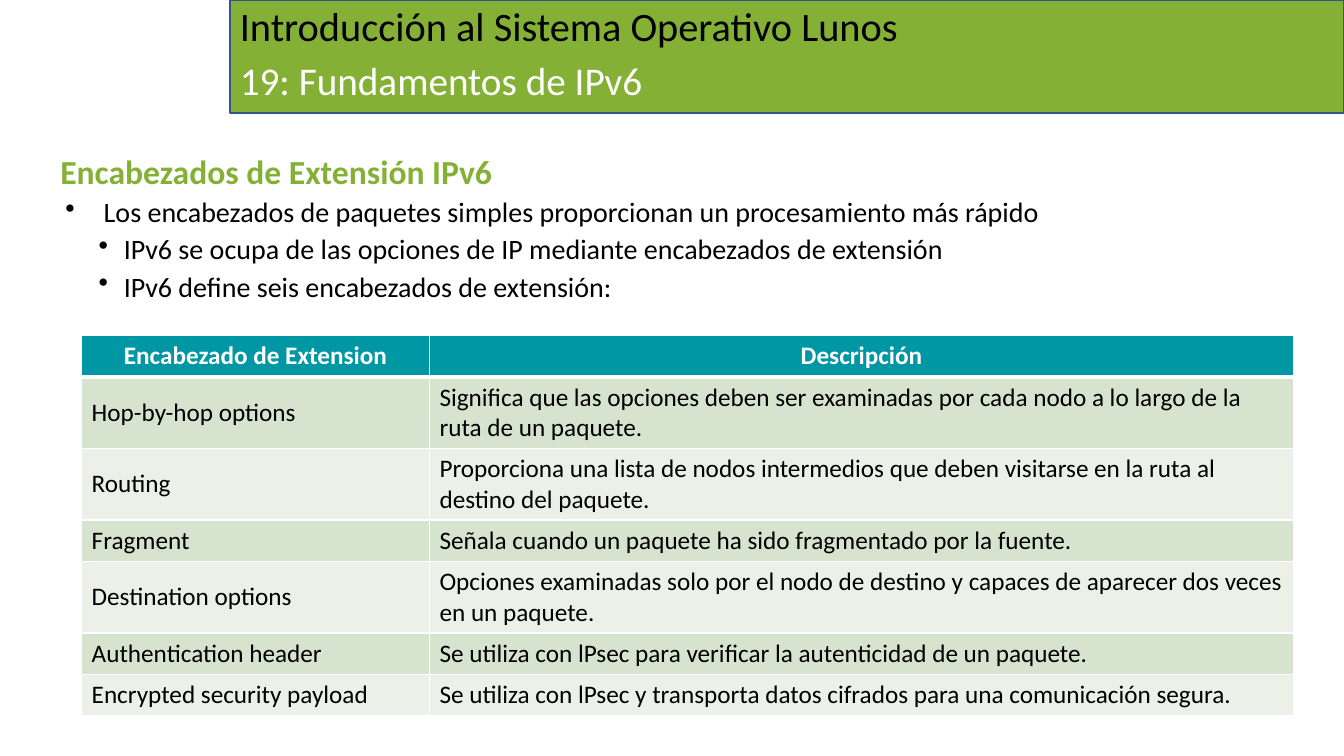
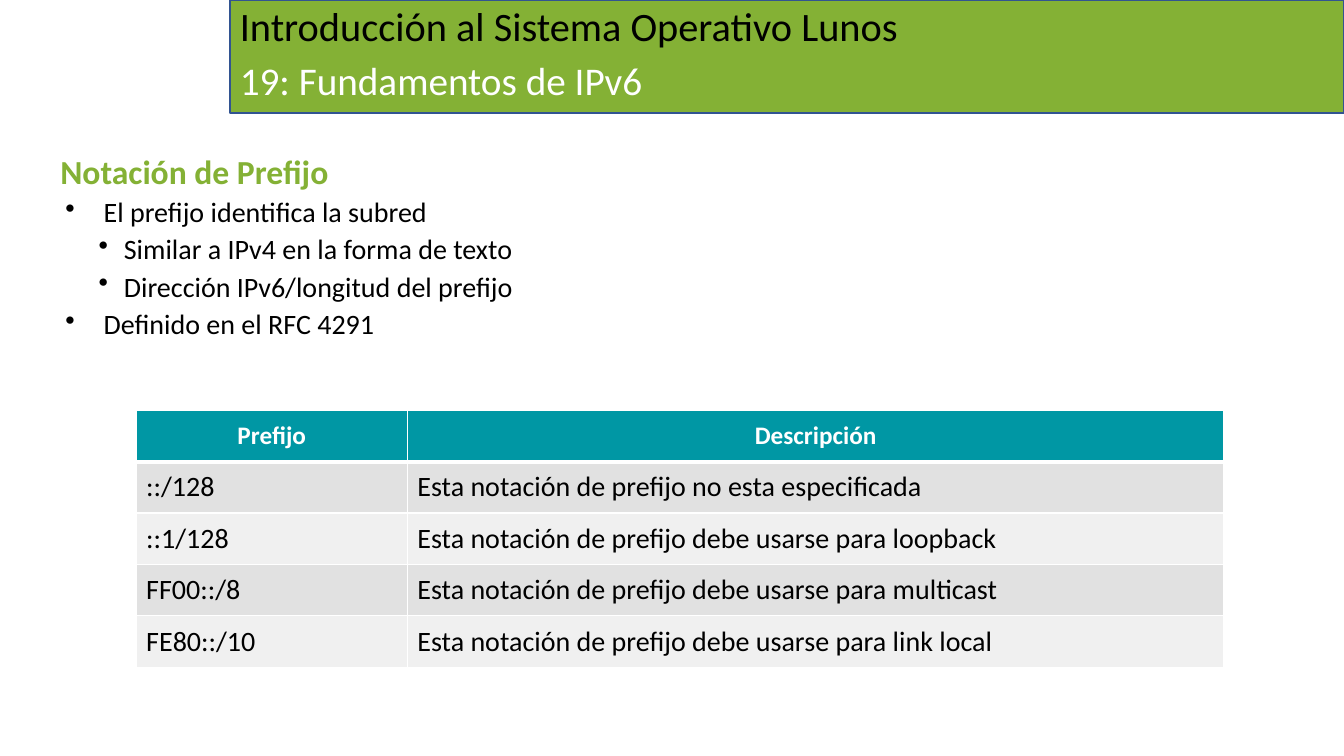
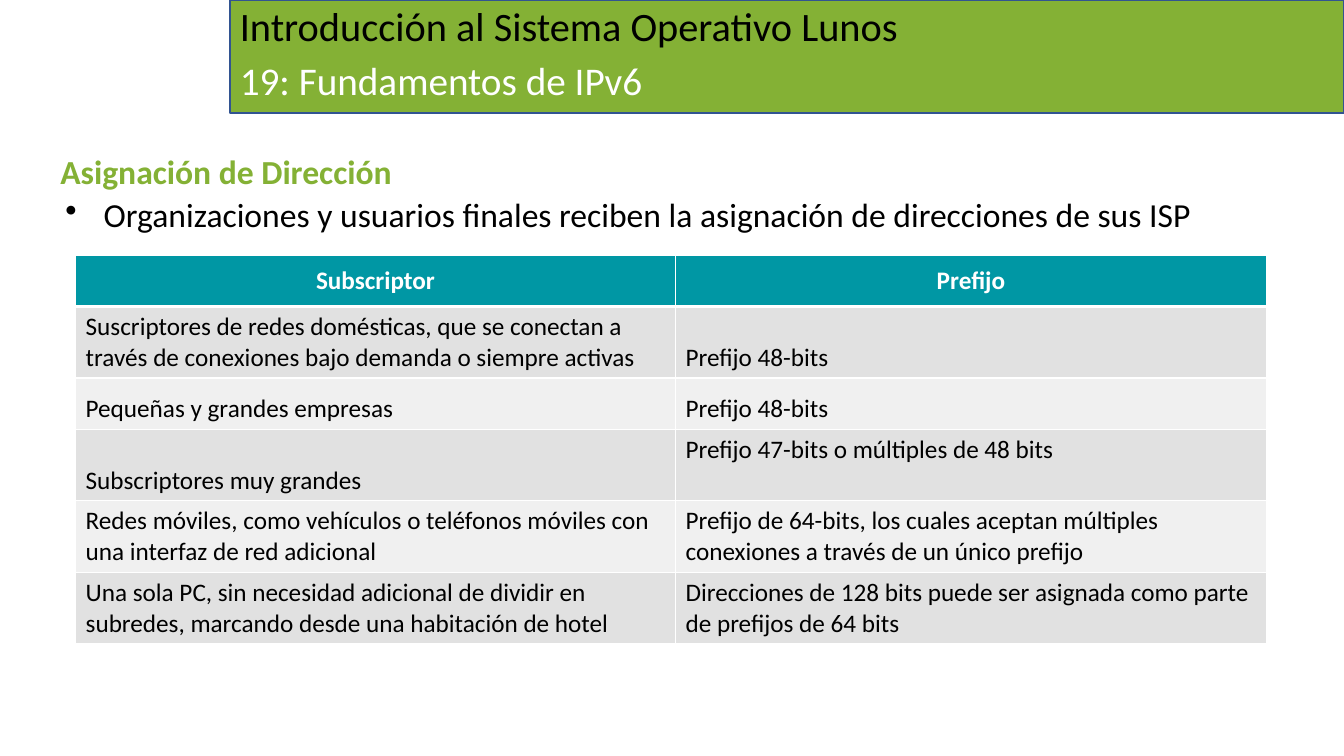
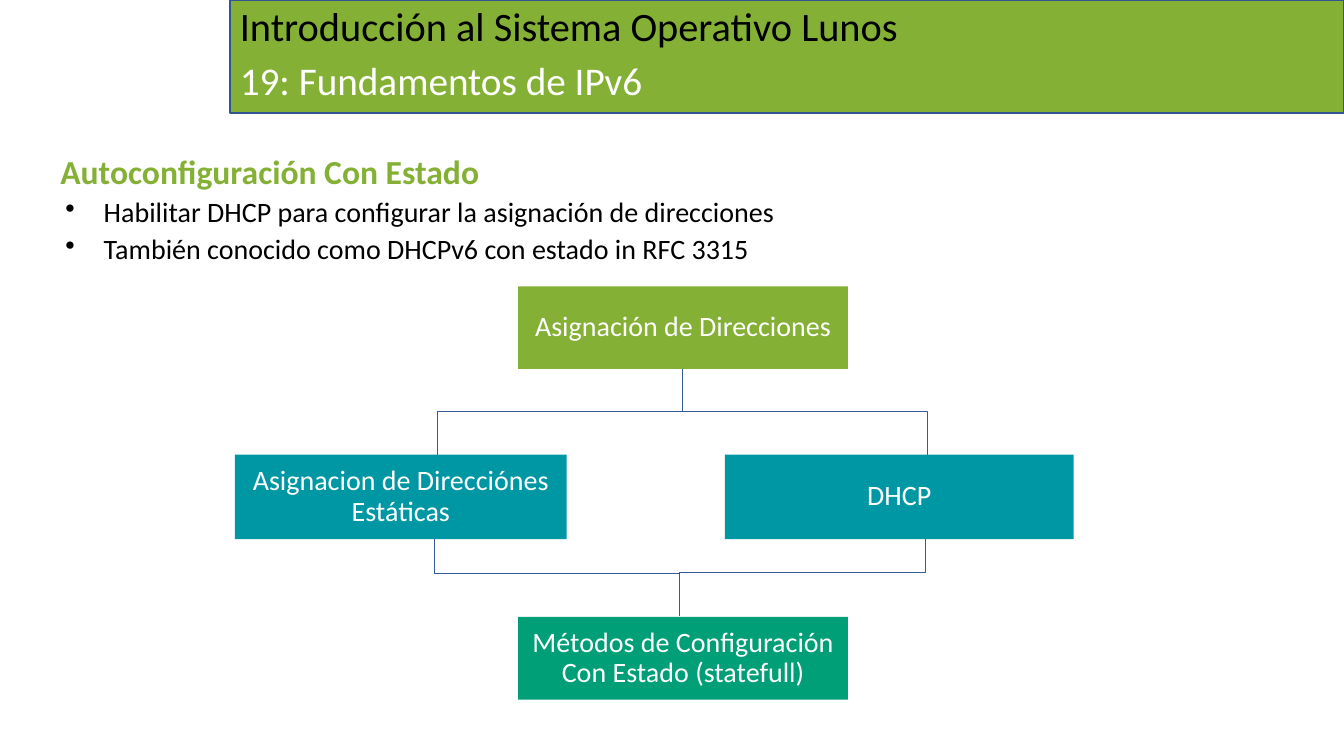
"""Build four slides on IPv6 fundamentals with a shared band, headings, tables and a chart of boxes."""
from dataclasses import dataclass

from lxml.etree import SubElement
from pptx import Presentation
from pptx.dml.color import RGBColor
from pptx.enum.shapes import MSO_SHAPE
from pptx.enum.text import MSO_ANCHOR as ANCHOR, PP_ALIGN as ALIGN
from pptx.oxml.ns import qn
from pptx.util import Inches, Pt


@dataclass(frozen=True)
class Theme:
    font: str = "Calibri"
    green: str = "84B135"
    teal: str = "0097A4"
    emerald: str = "009F77"
    band_line: str = "325491"
    elbow_line: str = "365B9D"
    black: str = "000000"
    white: str = "FFFFFF"
    green_rows: tuple[str, str] = ("D5E3CF", "EBF1E9")
    gray_rows: tuple[str, str] = ("E1E1E1", "F0F0F0")
    title: float = 28.8
    subtitle: float = 28
    heading: float = 24
    body: float = 20
    cell: float = 18
    spacing: float = 0.9


@dataclass(frozen=True)
class Bullet:
    text: str
    level: int = 1
    size: float = 20


@dataclass(frozen=True)
class Grid:
    left: float
    top: float
    cols: tuple[float, float]
    heights: tuple[float, ...]
    rows: tuple[tuple[str, str], ...]
    bands: tuple[str, str]
    size: float = 18
    anchor: ANCHOR = ANCHOR.MIDDLE
    top_cells: tuple[tuple[int, int], ...] = ()


@dataclass(frozen=True)
class Box:
    text: str
    left: float
    top: float
    width: float
    height: float
    color: str


@dataclass(frozen=True)
class Elbow:
    x1: float
    y1: float
    x2: float
    y2: float


@dataclass(frozen=True)
class Page:
    heading: str
    bullets: tuple[Bullet, ...]
    grid: Grid | None = None
    elbows: tuple[Elbow, ...] = ()
    boxes: tuple[Box, ...] = ()


T = Theme()
INDENTS = {1: (0.43, -0.38), 2: (0.63, -0.25)}
ONE, TWO, TALL = 0.41, 0.71, 0.51

PAGES = (
    Page(
        "Encabezados de Extensión IPv6",
        (
            Bullet("Los encabezados de paquetes simples proporcionan un procesamiento más rápido"),
            Bullet("IPv6 se ocupa de las opciones de IP mediante encabezados de extensión", 2),
            Bullet("IPv6 define seis encabezados de extensión:", 2),
        ),
        Grid(
            0.81, 3.33, (3.45, 8.57), (ONE, TWO, TWO, ONE, TWO, ONE, ONE),
            (
                ("Encabezado de Extension", "Descripción"),
                ("Hop-by-hop options", "Significa que las opciones deben ser examinadas por cada nodo a lo largo de la ruta de un paquete."),
                ("Routing", "Proporciona una lista de nodos intermedios que deben visitarse en la ruta al destino del paquete."),
                ("Fragment", "Señala cuando un paquete ha sido fragmentado por la fuente."),
                ("Destination options", "Opciones examinadas solo por el nodo de destino y capaces de aparecer dos veces en un paquete."),
                ("Authentication header", "Se utiliza con lPsec para verificar la autenticidad de un paquete."),
                ("Encrypted security payload", "Se utiliza con lPsec y transporta datos cifrados para una comunicación segura."),
            ),
            T.green_rows,
        ),
    ),
    Page(
        "Notación de Prefijo",
        (
            Bullet("El prefijo identifica la subred"),
            Bullet("Similar a IPv4 en la forma de texto", 2),
            Bullet("Dirección IPv6/longitud del prefijo", 2),
            Bullet("Definido en el RFC 4291"),
        ),
        Grid(
            1.35, 4.07, (2.69, 8.1), (TALL,) * 5,
            (
                ("Prefijo", "Descripción"),
                ("::/128", "Esta notación de prefijo no esta especificada"),
                ("::1/128", "Esta notación de prefijo debe usarse para loopback"),
                ("FF00::/8", "Esta notación de prefijo debe usarse para multicast"),
                ("FE80::/10", "Esta notación de prefijo debe usarse para link local"),
            ),
            T.gray_rows, T.body,
        ),
    ),
    Page(
        "Asignación de Dirección",
        (Bullet("Organizaciones y usuarios finales reciben la asignación de direcciones de sus ISP", size=T.heading),),
        Grid(
            0.75, 2.53, (5.95, 5.86), (TALL, TWO, TALL, TWO, TWO, TWO),
            (
                ("Subscriptor", "Prefijo"),
                ("Suscriptores de redes domésticas, que se conectan a través de conexiones bajo demanda o siempre activas", "Prefijo 48-bits"),
                ("Pequeñas y grandes empresas", "Prefijo 48-bits"),
                ("Subscriptores muy grandes", "Prefijo 47-bits o múltiples de 48 bits"),
                ("Redes móviles, como vehículos o teléfonos móviles con una interfaz de red adicional", "Prefijo de 64-bits, los cuales aceptan múltiples conexiones a través de un único prefijo"),
                ("Una sola PC, sin necesidad adicional de dividir en subredes, marcando desde una habitación de hotel", "Direcciones de 128 bits puede ser asignada como parte de prefijos de 64 bits"),
            ),
            T.gray_rows, anchor=ANCHOR.BOTTOM, top_cells=((3, 1),),
        ),
    ),
    Page(
        "Autoconfiguración Con Estado",
        (
            Bullet("Habilitar DHCP para configurar la asignación de direcciones"),
            Bullet("También conocido como DHCPv6 con estado in RFC 3315"),
        ),
        elbows=(
            Elbow(6.77, 3.66, 9.2, 4.51),
            Elbow(6.77, 3.66, 4.34, 4.51),
            Elbow(4.31, 5.27, 6.74, 6.11),
            Elbow(9.18, 5.26, 6.74, 6.1),
        ),
        boxes=(
            Box("Asignación de Direcciones", 5.14, 2.84, 3.27, 0.82, T.green),
            Box("Métodos de Configuración Con Estado (statefull)", 5.14, 6.12, 3.27, 0.82, T.emerald),
            Box("DHCP", 7.19, 4.51, 3.46, 0.84, T.teal),
            Box("Asignacion de Direcciónes Estáticas", 2.33, 4.51, 3.29, 0.84, T.teal),
        ),
    ),
)


def rgb(color: str) -> RGBColor:
    return RGBColor.from_string(color)


def write(tf, text: str, *, size: float, color: str = T.black, bold: bool = False,
          align: ALIGN = ALIGN.LEFT, level: int = 0, spacing: float = T.spacing) -> None:
    p = tf.add_paragraph() if tf.text else tf.paragraphs[0]
    if level:
        left, hang = INDENTS[level]
        pPr = p._p.get_or_add_pPr()
        pPr.set("marL", str(Inches(left)))
        pPr.set("indent", str(Inches(hang)))
        SubElement(pPr, qn("a:buChar")).set("char", "•")
        p.level = level
        p.space_before = Pt(5)
    p.alignment, p.line_spacing = align, spacing
    r = p.add_run()
    r.text = text
    r.font.name, r.font.size, r.font.bold = T.font, Pt(size), bold
    r.font.color.rgb = rgb(color)


def add_text(s, left: float, top: float, width: float, height: float, anchor: ANCHOR = ANCHOR.TOP):
    tf = s.shapes.add_textbox(Inches(left), Inches(top), Inches(width), Inches(height)).text_frame
    tf.word_wrap, tf.vertical_anchor = True, anchor
    return tf


def add_rect(s, left: float, top: float, width: float, height: float, color: str):
    sp = s.shapes.add_shape(MSO_SHAPE.RECTANGLE, Inches(left), Inches(top), Inches(width), Inches(height))
    sp.shadow.inherit = False
    sp.fill.solid()
    sp.fill.fore_color.rgb = rgb(color)
    sp.line.fill.background()
    return sp


def add_band(s) -> None:
    sp = add_rect(s, 2.28, 0, 11.05, 1.12, T.green)
    sp.line.color.rgb, sp.line.width = rgb(T.band_line), Pt(1)
    write(add_text(s, 2.28, 0.02, 11.05, 0.53, ANCHOR.MIDDLE),
          "Introducción al Sistema Operativo Lunos", size=T.title)
    write(add_text(s, 2.28, 0.56, 8.42, 0.56), "19: Fundamentos de IPv6", size=T.subtitle, color=T.white)


def add_body(s, page: Page) -> None:
    tf = add_text(s, 0.5, 1.49, 12.49, 4.76)
    write(tf, page.heading, size=T.heading, color=T.green, bold=True)
    for b in page.bullets:
        write(tf, b.text, size=b.size, level=b.level)


def set_borders(cell, bottom: float) -> None:
    tcPr = cell._tc.get_or_add_tcPr()
    for side, width in (("L", 1), ("R", 1), ("T", 1), ("B", bottom)):
        ln = SubElement(tcPr, qn(f"a:ln{side}"))
        ln.set("w", str(Pt(width)))
        SubElement(SubElement(ln, qn("a:solidFill")), qn("a:srgbClr")).set("val", T.white)


def add_grid(s, g: Grid) -> None:
    table = s.shapes.add_table(len(g.rows), len(g.cols), Inches(g.left), Inches(g.top),
                               Inches(sum(g.cols)), Inches(sum(g.heights))).table
    for col, width in zip(table.columns, g.cols):
        col.width = Inches(width)
    for i, (texts, height) in enumerate(zip(g.rows, g.heights)):
        table.rows[i].height = Inches(height)
        head = i == 0
        for j, text in enumerate(texts):
            cell = table.cell(i, j)
            set_borders(cell, 3 if head else 1)
            cell.fill.solid()
            cell.fill.fore_color.rgb = rgb(T.teal if head else g.bands[(i - 1) % 2])
            cell.vertical_anchor = ANCHOR.MIDDLE if head else ANCHOR.TOP if (i, j) in g.top_cells else g.anchor
            write(cell.text_frame, text, size=T.cell if head else g.size, bold=head, spacing=1.0,
                  color=T.white if head else T.black, align=ALIGN.CENTER if head else ALIGN.LEFT)


def add_elbow(s, e: Elbow) -> None:
    mid = (e.y1 + e.y2) / 2
    fb = s.shapes.build_freeform(Inches(e.x1), Inches(e.y1))
    fb.add_line_segments([(Inches(x), Inches(y)) for x, y in ((e.x1, mid), (e.x2, mid), (e.x2, e.y2))], close=False)
    sp = fb.convert_to_shape()
    sp.shadow.inherit = False
    sp.fill.background()
    sp.line.color.rgb, sp.line.width = rgb(T.elbow_line), Pt(0.5)


def add_box(s, b: Box) -> None:
    tf = add_rect(s, b.left, b.top, b.width, b.height, b.color).text_frame
    tf.word_wrap, tf.vertical_anchor = True, ANCHOR.MIDDLE
    tf.margin_left = tf.margin_right = tf.margin_top = tf.margin_bottom = Inches(0.03)
    write(tf, b.text, size=T.body, color=T.white, align=ALIGN.CENTER)


def main() -> None:
    prs = Presentation()
    prs.slide_width, prs.slide_height = Inches(13.33), Inches(7.5)
    for page in PAGES:
        s = prs.slides.add_slide(prs.slide_layouts[6])
        add_band(s)
        add_body(s, page)
        if page.grid:
            add_grid(s, page.grid)
        for e in page.elbows:
            add_elbow(s, e)
        for b in page.boxes:
            add_box(s, b)
    prs.save("out.pptx")


if __name__ == "__main__":
    main()
